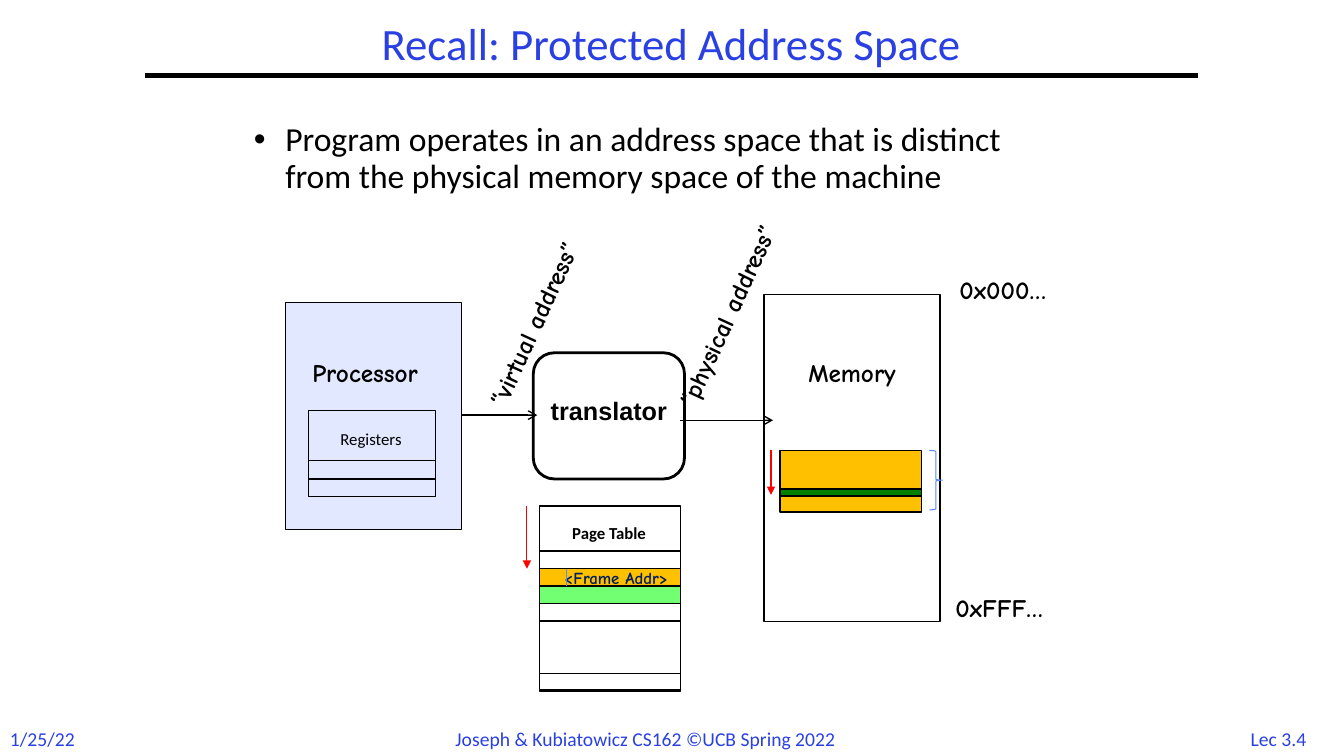
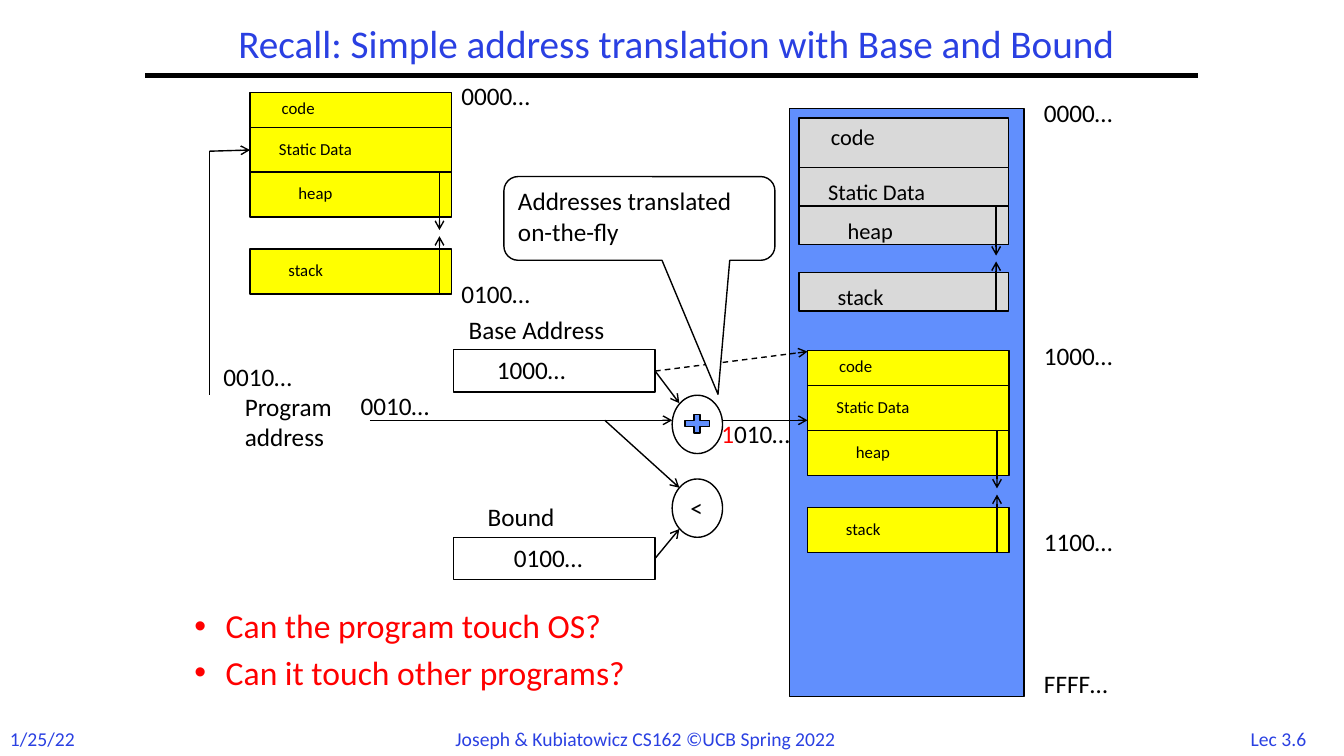
"""Build two lecture slides on address translation."""
from lxml.etree import SubElement
from pptx import Presentation
from pptx.dml.color import RGBColor
from pptx.enum.dml import MSO_LINE
from pptx.enum.shapes import MSO_CONNECTOR, MSO_SHAPE as SHAPE
from pptx.enum.text import MSO_ANCHOR as ANCHOR, MSO_AUTO_SIZE as FIT, PP_ALIGN as ALIGN
from pptx.oxml.ns import qn
from pptx.util import Cm, Pt

COLORS = {
    "heading": "2A40E2",
    "black": "000000",
    "white": "FFFFFF",
    "red": "FF0000",
    "navy": "002060",
    "outline": "5B8AFB",
    "processor": "E2E8FF",
    "physical": "618FFD",
    "frame": "FFC000",
    "next_page": "72FF72",
    "word": "008200",
    "system": "D9D9D9",
    "program": "FFFF00",
}
COMIC = {"font": "Comic Neue", "bold": True}
LABEL_OFFSETS = {"code": (0.55, 0), "Static Data": (0.48, 0.15), "heap": (0.97, 0.15), "stack": (0.72, 0.15)}


def rgb(name):
    return RGBColor.from_string(COLORS[name])


def style_run(run, size=18, font="Calibri", color="black", bold=False):
    run.font.size = Pt(size)
    run.font.name = font
    run.font.bold = bold
    run.font.color.rgb = rgb(color)


def write(frame, text, align=ALIGN.LEFT, spacing=None, bullet=False, **style):
    for index, line in enumerate(text.split("\n")):
        paragraph = frame.add_paragraph() if index else frame.paragraphs[0]
        paragraph.alignment = align
        if spacing:
            paragraph.line_spacing = spacing
        run = paragraph.add_run()
        run.text = line
        style_run(run, **style)
        if bullet:
            add_bullet(paragraph)


def add_bullet(paragraph):
    paragraph.space_before = Pt(7.2)
    properties = paragraph._p.get_or_add_pPr()
    properties.set("marL", str(Cm(0.79)))
    properties.set("indent", str(-Cm(0.79)))
    SubElement(properties, qn("a:buFont")).set("typeface", "Arial")
    SubElement(properties, qn("a:buChar")).set("char", "•")


def add_block(slide, left, top, width, height, text, anchor=ANCHOR.TOP, **style):
    box = slide.shapes.add_textbox(Cm(left), Cm(top), Cm(width), Cm(height))
    box.text_frame.word_wrap = True
    box.text_frame.vertical_anchor = anchor
    write(box.text_frame, text, spacing=0.9, **style)


def add_label(slide, left, top, text, width=2.59, height=1.02, rotation=0, **style):
    box = slide.shapes.add_textbox(Cm(left), Cm(top), Cm(width), Cm(height))
    box.rotation = rotation
    box.text_frame.word_wrap = False
    box.text_frame.auto_size = FIT.SHAPE_TO_FIT_TEXT
    write(box.text_frame, text, **style)
    return box


def add_figure(slide, left, top, width, height, fill=None, kind=SHAPE.RECTANGLE, line="black", weight=1):
    shape = slide.shapes.add_shape(kind, Cm(left), Cm(top), Cm(width), Cm(height))
    shape.shadow.inherit = False
    if fill:
        shape.fill.solid()
        shape.fill.fore_color.rgb = rgb(fill)
    else:
        shape.fill.background()
    shape.line.color.rgb = rgb(line)
    shape.line.width = Pt(weight)
    return shape


def add_line(slide, start, end, head="arrow", color="black", weight=1, dashed=False):
    points = [Cm(value) for value in (*start, *end)]
    connector = slide.shapes.add_connector(MSO_CONNECTOR.STRAIGHT, *points)
    connector.line.color.rgb = rgb(color)
    connector.line.width = Pt(weight)
    if dashed:
        connector.line.dash_style = MSO_LINE.DASH
    if head:
        SubElement(connector.line._get_or_add_ln(), qn("a:tailEnd")).set("type", head)
    SubElement(connector._element.spPr, qn("a:effectLst"))


def add_slide(presentation, title, number, left, width, size):
    slide = presentation.slides.add_slide(presentation.slide_layouts[6])
    footer = {"size": 14, "color": "heading", "height": 0.86}
    add_label(slide, 30.99, 18.19, f"Lec {number}", 2.46, align=ALIGN.CENTER, **footer)
    add_label(slide, 0, 18.19, "1/25/22", 2.16, **footer)
    add_label(slide, 11.23, 18.19, "Joseph & Kubiatowicz CS162 ©UCB Spring 2022", 11.43, **footer)
    add_line(slide, (3.66, 1.9), (30.2, 1.9), head=None, weight=3)
    add_block(slide, left, 0.43, width, 1.47, title, ANCHOR.MIDDLE,
              align=ALIGN.CENTER, size=size, color="heading")
    return slide


def add_memory_image(slide, left, top, width, heights, gap, fill, size):
    arrow_x = left + 0.94 * width
    for (name, (indent, drop)), height in zip(LABEL_OFFSETS.items(), heights):
        if name == "stack":
            top += gap
        add_figure(slide, left, top, width, height, fill)
        add_label(slide, left + indent, top + drop, name, 3.5, 0.76, size=size)
        reach = 1.29 * height
        bottom = top + height
        if name == "heap":
            add_line(slide, (arrow_x, top), (arrow_x, top + reach))
        if name == "stack":
            add_line(slide, (arrow_x, bottom), (arrow_x, bottom - reach))
        top = bottom


def add_page_table(slide):
    left, top, width, row = 13.59, 13.89, 3.56, 0.44
    add_figure(slide, left, 12.75, width, 4.62)
    for index, fill in {0: None, 1: "frame", 2: "next_page", 3: None, 7: None}.items():
        add_figure(slide, left, top + index * row, width, row, fill)
    add_label(slide, 14.17, 13.06, "Page Table", 2.74, 0.76, size=12, bold=True)
    add_line(slide, (13.28, 12.75), (13.28, top + row), "triangle", "red", 0.75)
    add_label(slide, 13.97, 14.17, "<Frame Addr>", 3.71, 0.76, size=12, color="navy", **COMIC)
    add_line(slide, (14.27, top + row), (14.27, top + 2 * row), None, "outline", 0.75)


def build_protected_space(presentation):
    slide = add_slide(presentation, "Recall: Protected Address Space", "3.4", 3.66, 26.52, 32)
    add_block(slide, 6.15, 2.97, 20.5, 3.38,
              "Program operates in an address space that is distinct "
              "from the physical memory space of the machine", size=24, bullet=True)
    add_figure(slide, 19.25, 7.42, 4.44, 8.25)
    add_figure(slide, 7.19, 7.62, 4.44, 5.72, "processor")
    translator = add_figure(slide, 13.44, 8.89, 3.81, 3.18, "white", SHAPE.FLOWCHART_ALTERNATE_PROCESS, weight=2)
    translator.text_frame.vertical_anchor = ANCHOR.MIDDLE
    translator.text_frame.margin_bottom = Cm(0.38)
    write(translator.text_frame, "translator", align=ALIGN.CENTER, font="Arial", bold=True)
    add_line(slide, (11.63, 10.46), (13.54, 10.46))
    add_line(slide, (17.15, 10.59), (19.48, 10.59))
    for left, top, text, width, rotation in (
        (7.62, 8.89, "Processor", 3.45, 0),
        (20.12, 8.89, "Memory", 2.95, 0),
        (23.93, 6.78, "0x000…", 2.9, 0),
        (23.83, 14.81, "0xFFF…", 2.87, 0),
        (10.74, 7.32, "“virtual address”", 5.72, 294.7),
        (15.39, 7.11, "“physical address”", 6.17, 294.7),
    ):
        add_label(slide, left, top, text, width, rotation=rotation, **COMIC)
    add_figure(slide, 7.77, 10.34, 3.2, 2.18)
    add_figure(slide, 7.77, 11.61, 3.2, 0.46)
    add_label(slide, 8.33, 10.67, "Registers", 2.31, 0.76, size=12)
    add_page_table(slide)
    add_figure(slide, 19.66, 11.35, 3.56, 1.55, "frame")
    add_figure(slide, 23.42, 11.35, 0.33, 1.5, None, SHAPE.RIGHT_BRACE, "outline", 0.75)
    add_figure(slide, 19.66, 12.32, 3.56, 0.18, "word")
    add_line(slide, (19.43, 11.33), (19.43, 12.47), "triangle", "red", 0.75)


def build_base_and_bound(presentation):
    slide = add_slide(presentation, "Recall: Simple address translation with Base and Bound", "3.6", 4.24, 25.6, 28)
    add_figure(slide, 19.89, 2.74, 5.92, 14.81, "physical")
    add_memory_image(slide, 20.14, 2.97, 5.28, (1.25, 0.97, 0.97, 0.97), 0.71, "system", 16)
    for left, top in ((20.35, 8.84), (6.3, 2.33)):
        add_memory_image(slide, left, top, 5.08, (0.88, 1.13, 1.13, 1.13), 0.81, "program", 12)
    for top in (8.81, 13.54):
        add_figure(slide, 11.43, top, 5.08, 1.07)
    add_figure(slide, 17.15, 10.36, 0.84, 0.64, "physical", SHAPE.MATH_PLUS)
    for top in (9.96, 12.07):
        add_figure(slide, 16.94, top, 1.27, 1.47, kind=SHAPE.OVAL)
    for start, end in (
        ((9.32, 10.59), (16.94, 10.59)),
        ((5.28, 3.81), (6.3, 3.78)),
        ((18.21, 10.59), (20.35, 10.59)),
        ((16.51, 9.35), (17.12, 10.16)),
        ((15.24, 10.59), (17.12, 12.29)),
        ((16.51, 14.07), (17.12, 13.33)),
    ):
        add_line(slide, start, end)
    add_line(slide, (16.51, 9.35), (20.35, 8.86), dashed=True)
    add_line(slide, (5.28, 3.81), (5.28, 9.96), head=None)
    for left, top, text in (
        (26.06, 2.34, "0000…"),
        (26.06, 8.46, "1000…"),
        (26.06, 13.13, "1100…"),
        (26.06, 16.71, "FFFF…"),
        (11.38, 1.9, "0000…"),
        (11.38, 6.88, "0100…"),
        (12.27, 8.81, "1000…"),
        (12.7, 13.54, "0100…"),
        (5.38, 8.97, "0010…"),
        (8.84, 9.7, "0010…"),
        (12.04, 12.52, "Bound"),
    ):
        add_label(slide, left, top, text)
    add_label(slide, 5.92, 9.73, "Program\naddress", 2.97, 1.8)
    add_label(slide, 11.56, 7.8, "Base Address", 4.47)
    add_label(slide, 17.15, 12.27, "<", 0.89)
    callout = add_figure(slide, 12.7, 4.45, 6.83, 2.11, "white", SHAPE.ROUNDED_RECTANGULAR_CALLOUT)
    for index, value in enumerate((0.29, 2.1, 0.17)):
        callout.adjustments[index] = value
    callout.text_frame.vertical_anchor = ANCHOR.TOP
    write(callout.text_frame, "Addresses translated\non-the-fly")
    translated = add_label(slide, 17.93, 10.41, "1", color="red")
    offset = translated.text_frame.paragraphs[0].add_run()
    offset.text = "010…"
    style_run(offset)
    add_block(slide, 4.65, 15.24, 14.81, 3.18, "Can the program touch OS?\nCan it touch other programs?",
              size=24, color="red", bullet=True)


def main():
    presentation = Presentation()
    presentation.slide_width = Cm(33.87)
    presentation.slide_height = Cm(19.05)
    build_protected_space(presentation)
    build_base_and_bound(presentation)
    presentation.save("out.pptx")


if __name__ == "__main__":
    main()
